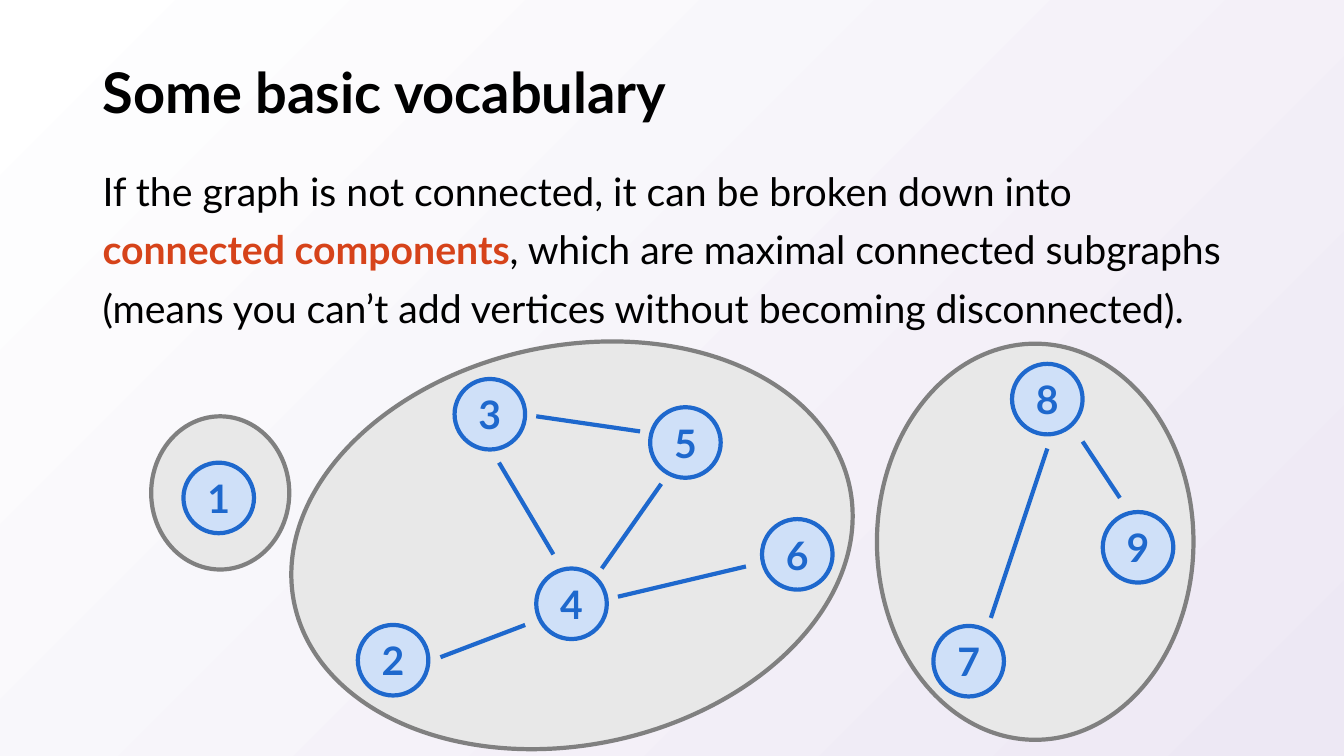
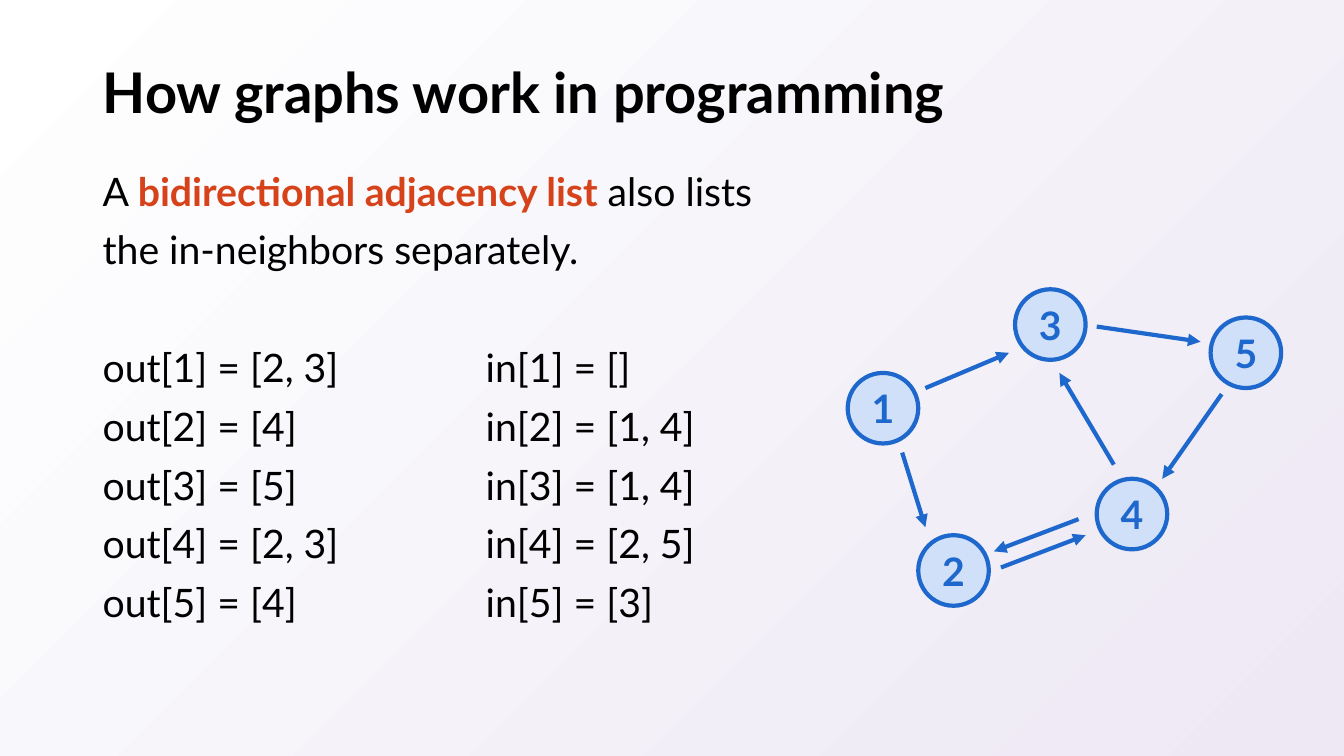
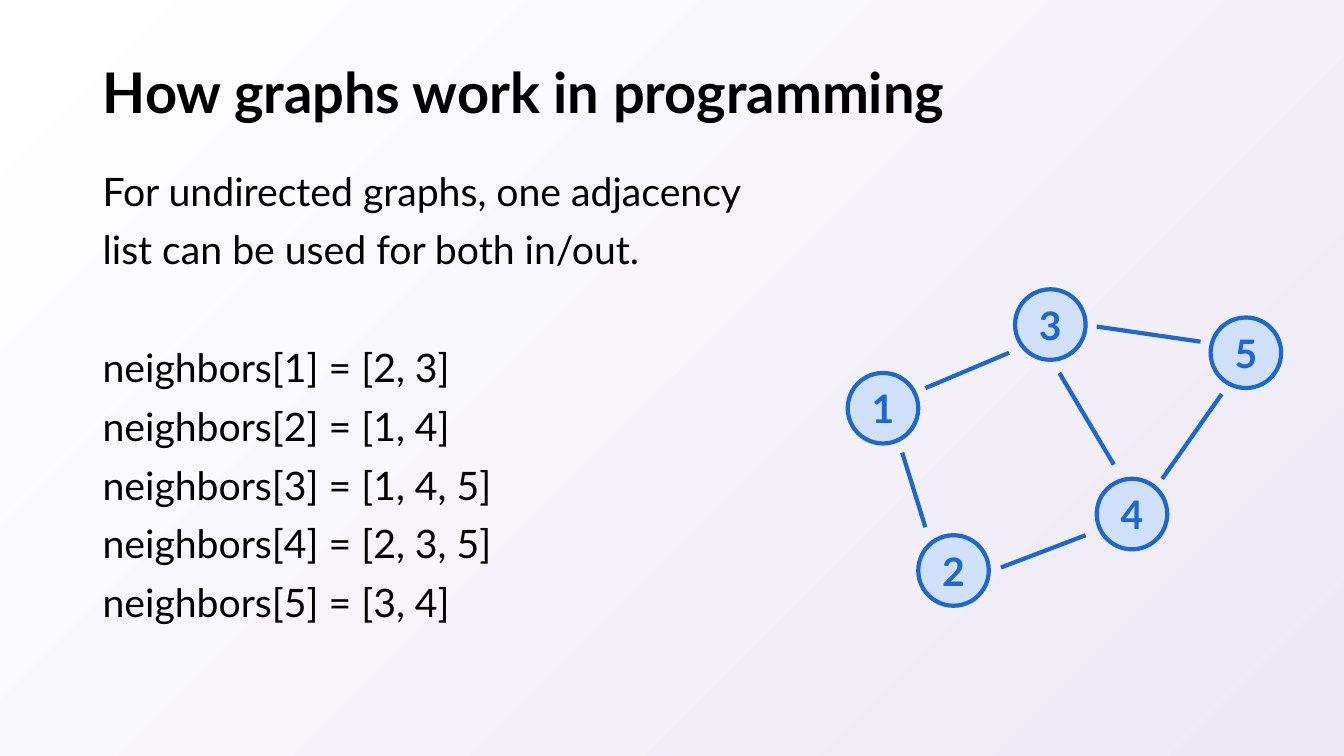
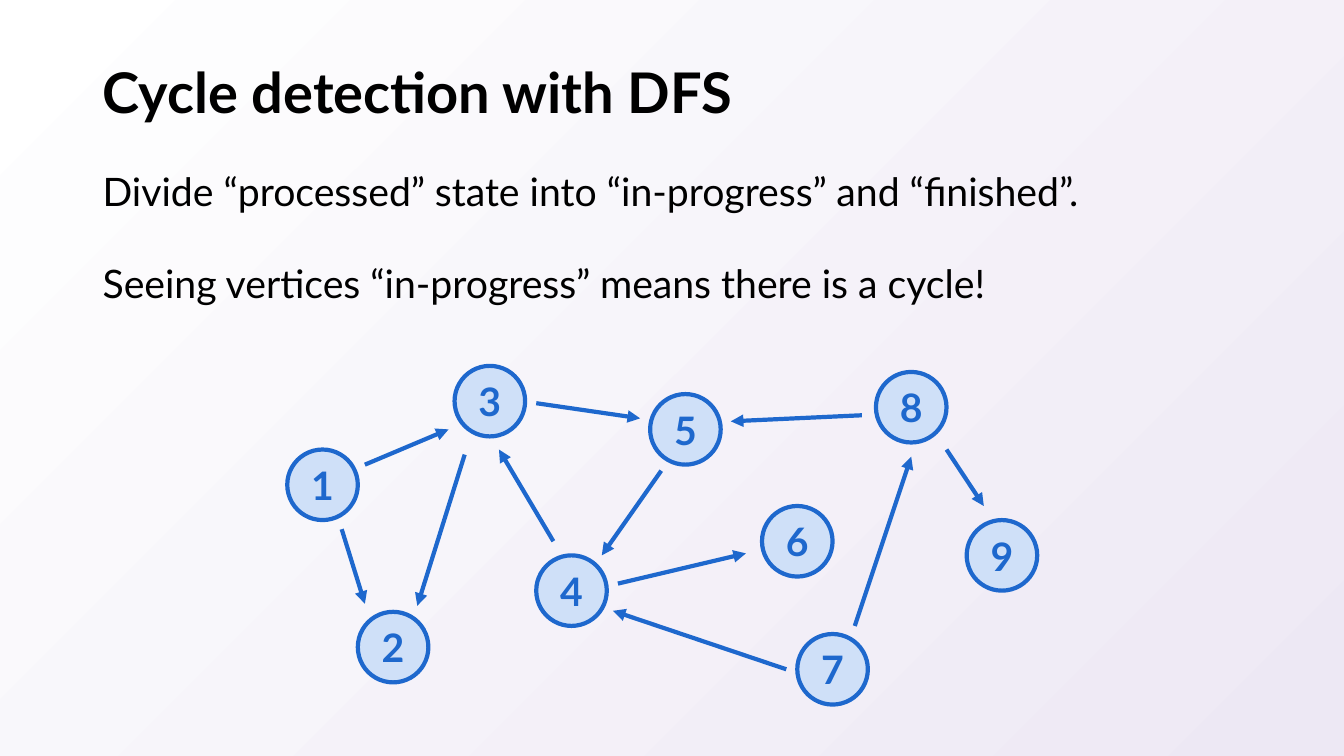
from lxml.etree import SubElement
from pptx import Presentation
from pptx.dml.color import RGBColor
from pptx.enum.shapes import MSO_CONNECTOR, MSO_SHAPE
from pptx.enum.text import MSO_ANCHOR, MSO_AUTO_SIZE, PP_ALIGN
from pptx.oxml.ns import qn
from pptx.util import Inches, Pt

COLORS = {
    "text": "000000",
    "accent": "D6431A",
    "edge": "1E68CD",
    "vertex": "CFE0F8",
    "component": "E8E8E8",
    "outline": "808080",
    "back_start": "FFFFFF",
    "back_end": "EDE8F4",
}
FONT = "Lato"
CELL = 0.1  # inches per grid column and row
COLUMNS, ROWS = 133.33, 75
LEFT, BODY_TOP = 9.2, 14.9
FULL_WIDTH, HALF_WIDTH = 115, 70.7
VERTEX_SIZE = 7
STROKE = 3
BODY_SIZE = 28
LINE_SPACING = 1.25
LIST_GAP = 42  # one body line, in points

# Top left corner of each vertex, in columns and rows
VERTICES = {
    1: (28.5, 44.6), 2: (35.5, 60.7), 3: (45.1, 36.3),
    4: (53.2, 55.1), 5: (64.5, 39.1), 6: (75.6, 50.2),
    7: (79.1, 62.9), 8: (86.9, 36.9), 9: (95.9, 51.6),
}
# Start and end of each edge, in columns and rows
EDGES = {
    (1, 2): ((33.9, 52.5), (36.2, 59.9)),
    (1, 3): ((36.2, 46.1), (44.5, 42.6)),
    (2, 4): ((43.7, 63.9), (52.1, 60.7)),
    (3, 2): ((46.1, 45.1), (41.4, 60.1)),
    (3, 5): ((53.2, 40), (63.5, 41.5)),
    (4, 2): ((51.4, 59.1), (43, 62.3)),
    (4, 3): ((54.9, 53.7), (49.5, 44.6)),
    (4, 6): ((61.3, 57.9), (74, 54.9)),
    (5, 4): ((65.6, 46.7), (59.7, 55.1)),
    (7, 4): ((78, 66.4), (60.8, 60.6)),
    (7, 8): ((84.8, 62.1), (90.4, 45.3)),
    (8, 5): ((85.5, 41.2), (72.5, 41.8)),
    (8, 9): ((93.9, 44.6), (97.6, 50.2)),
}
SMALL_GRAPH = [(1, 3), (1, 2), (2, 4), (3, 5), (4, 3), (5, 4)]
SMALL_SHIFT = (55.6, -7.6)


def grid(*cells):
    return [Inches(cell * CELL) for cell in cells]


def color(name):
    return RGBColor.from_string(COLORS[name])


def write(frame, paragraphs, size=BODY_SIZE, ink="text", bold=False,
          align=PP_ALIGN.LEFT, anchor=MSO_ANCHOR.TOP, spacing=None, gaps=None):
    """Fill a frame; *starred* words are accented, gaps maps paragraph to space before."""
    frame.word_wrap = True
    frame.auto_size = MSO_AUTO_SIZE.NONE
    frame.vertical_anchor = anchor
    for index, content in enumerate(paragraphs):
        paragraph = frame.paragraphs[0] if index == 0 else frame.add_paragraph()
        paragraph.alignment = align
        paragraph.line_spacing = spacing
        paragraph.space_before = Pt((gaps or {}).get(index, 0))
        for part, words in enumerate(content.split("*")):
            if not words:
                continue
            accented = part % 2 == 1
            run = paragraph.add_run()
            run.text = words
            run.font.name = FONT
            run.font.size = Pt(size)
            run.font.bold = bold or accented
            run.font.color.rgb = color("accent" if accented else ink)


class GraphDeck:
    def __init__(self):
        self.deck = Presentation()
        self.deck.slide_width, self.deck.slide_height = grid(COLUMNS, ROWS)
        self.slide = None
        backdrop = self.deck.slide_master.background.fill
        backdrop.gradient()
        backdrop.gradient_angle = 315
        for stop, name in zip(backdrop.gradient_stops, ("back_start", "back_end")):
            stop.color.rgb = color(name)

    def start(self, heading):
        self.slide = self.deck.slides.add_slide(self.deck.slide_layouts[5])
        title = self.slide.shapes.title
        title.left, title.top, title.width, title.height = grid(LEFT, 4, FULL_WIDTH, 10.9)
        write(title.text_frame, [heading], size=40, bold=True,
              anchor=MSO_ANCHOR.MIDDLE, spacing=0.9)

    def body(self, paragraphs, left=LEFT, top=BODY_TOP, width=FULL_WIDTH,
             height=52.6, gaps=None):
        box = self.slide.shapes.add_textbox(*grid(left, top, width, height))
        write(box.text_frame, paragraphs, spacing=LINE_SPACING, gaps=gaps)

    def ellipse(self, left, top, width, height, fill, line, rotation=0):
        oval = self.slide.shapes.add_shape(
            MSO_SHAPE.OVAL, *grid(left, top, width, height))
        oval.shadow.inherit = False
        oval.rotation = rotation
        oval.fill.solid()
        oval.fill.fore_color.rgb = color(fill)
        oval.line.color.rgb = color(line)
        oval.line.width = Pt(STROKE)
        return oval

    def component(self, *place, rotation=0):
        self.ellipse(*place, "component", "outline", rotation)

    def vertex(self, number, shift):
        left, top = (start + move for start, move in zip(VERTICES[number], shift))
        circle = self.ellipse(left, top, VERTEX_SIZE, VERTEX_SIZE, "vertex", "edge")
        write(circle.text_frame, [str(number)], ink="edge", bold=True,
              align=PP_ALIGN.CENTER, anchor=MSO_ANCHOR.MIDDLE)

    def edge(self, ends, shift, directed):
        points = [start + move for end in EDGES[ends] for start, move in zip(end, shift)]
        link = self.slide.shapes.add_connector(MSO_CONNECTOR.STRAIGHT, *grid(*points))
        link.line.color.rgb = color("edge")
        link.line.width = Pt(STROKE)
        if directed:
            SubElement(link.line._get_or_add_ln(), qn("a:tailEnd"), type="triangle")
        SubElement(link._element.spPr, qn("a:effectLst"))

    def graph(self, edges, vertices=None, shift=(0, 0), directed=False):
        """Draw the edges and vertices; by default, the vertices the edges join."""
        for number in vertices or sorted({end for ends in edges for end in ends}):
            self.vertex(number, shift)
        for ends in edges:
            self.edge(ends, shift, directed)


def main():
    talk = GraphDeck()

    talk.start("Some basic vocabulary")
    talk.component(87, 34.1, 31.4, 39.3)
    talk.component(28.6, 34.3, 56.3, 39.6, rotation=-11.9)
    talk.component(15, 41.3, 13.7, 15.2)
    talk.body(["If the graph is not connected, it can be broken down into "
               "*connected components*, which are maximal connected subgraphs "
               "(means you can’t add vertices without becoming disconnected)."])
    talk.graph([], vertices=[1], shift=(-10.3, 1.3))
    talk.graph([(2, 4), (3, 5), (4, 3), (5, 4), (4, 6)], shift=(0, 1.3))
    talk.graph([(7, 8), (8, 9)], shift=(13.5, -0.8))

    talk.start("How graphs work in programming")
    out_lists = ["[2, 3]", "[4]", "[5]", "[2, 3]", "[4]"]
    in_lists = ["[]", "[1, 4]", "[1, 4]", "[2, 5]", "[3]"]
    talk.body(["A *bidirectional adjacency list* also lists the in-neighbors separately."]
              + [f"out[{n}] = {found}" for n, found in enumerate(out_lists, 1)],
              width=HALF_WIDTH, gaps={1: LIST_GAP})
    talk.graph(SMALL_GRAPH + [(4, 2)], shift=SMALL_SHIFT, directed=True)
    talk.body([f"in[{n}] = {found}" for n, found in enumerate(in_lists, 1)],
              left=47.2, top=32.4, width=25.7, height=29.8)

    talk.start("How graphs work in programming")
    neighbor_lists = ["[2, 3]", "[1, 4]", "[1, 4, 5]", "[2, 3, 5]", "[3, 4]"]
    talk.body(["For undirected graphs, one adjacency list can be used for both in/out."]
              + [f"neighbors[{n}] = {found}" for n, found in enumerate(neighbor_lists, 1)],
              width=HALF_WIDTH, gaps={1: LIST_GAP})
    talk.graph(SMALL_GRAPH, shift=SMALL_SHIFT)

    talk.start("Cycle detection with DFS")
    talk.body(["Divide “processed” state into “in-progress” and “finished”.",
               "Seeing vertices “in-progress” means there is a cycle!"], gaps={1: 24})
    talk.graph([ends for ends in EDGES if ends not in ((2, 4), (4, 2))], directed=True)

    talk.deck.save("out.pptx")


if __name__ == "__main__":
    main()
